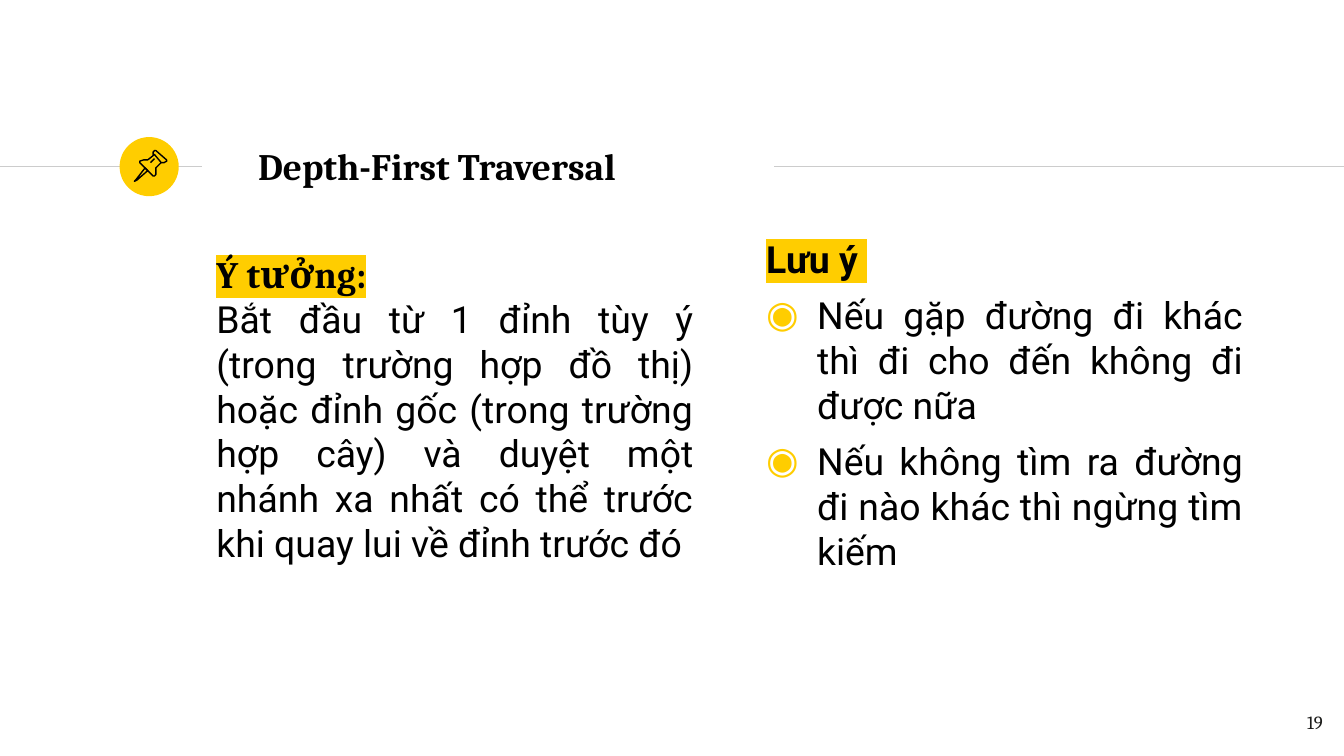
"""Builds the slide on the idea and notes of depth-first traversal."""
from lxml import etree
from pptx import Presentation
from pptx.dml import color as dml
from pptx.enum import shapes, text
from pptx.oxml import ns
from pptx.util import Inches, Pt

YELLOW, BLACK, GREY, INK = "FFCD00", "000000", "CCCCCC", "1D1D1B"
SERIF, SANS = "Cambria", "Roboto"
HUNDREDTH = Inches(0.01)


def rgb(value):
    return dml.RGBColor.from_string(value)


def color_element(tag, value):
    element = etree.Element(ns.qn(tag))
    etree.SubElement(element, ns.qn("a:srgbClr"), val=value)
    return element


class SlideBuilder:
    def __init__(self, slide):
        self.slide = slide
        self.shapes = slide.shapes

    def frame(self, shape, box, anchor=text.MSO_ANCHOR.TOP):
        shape.left, shape.top, shape.width, shape.height = map(Inches, box)
        frame = shape.text_frame
        frame.word_wrap = True
        frame.auto_size = text.MSO_AUTO_SIZE.NONE
        frame.vertical_anchor = anchor
        frame.margin_left = frame.margin_right = Inches(0.1)
        frame.margin_top = frame.margin_bottom = Inches(0.1)
        return frame

    def format(self, paragraph, font=SANS, size=20, color=BLACK, bold=False,
               align=text.PP_ALIGN.LEFT, before=0, highlight=False):
        paragraph.alignment = align
        paragraph.space_before = Pt(before)
        for run in paragraph.runs:
            run.font.name, run.font.size, run.font.bold = font, Pt(size), bold
            run.font.color.rgb = rgb(color)
            if highlight:
                fill = run.font._element.find(ns.qn("a:solidFill"))
                fill.addnext(color_element("a:highlight", YELLOW))

    def bullet(self, paragraph, shown):
        properties = paragraph._p.get_or_add_pPr()
        indent = Inches(0.38) if shown else 0
        properties.set("marL", str(indent))
        properties.set("indent", str(-indent))
        if shown:
            properties.append(color_element("a:buClr", YELLOW))
            etree.SubElement(properties, ns.qn("a:buChar"), char="◉")
        else:
            etree.SubElement(properties, ns.qn("a:buNone"))

    def title(self, wording, box):
        frame = self.frame(self.shapes.title, box, text.MSO_ANCHOR.MIDDLE)
        frame.text = wording
        self.format(frame.paragraphs[0], SERIF, bold=True)

    def column(self, index, box, heading, items, heading_font, bulleted):
        frame = self.frame(self.slide.placeholders[index], box)
        frame.text = "\n".join([heading, *items])
        head, *body = frame.paragraphs
        self.bullet(head, False)
        self.format(head, heading_font, bold=True, highlight=True)
        for paragraph in body:
            self.bullet(paragraph, bulleted)
            self.format(paragraph, align=text.PP_ALIGN.JUSTIFY, before=6 if bulleted else 0)

    def page_number(self, number, box):
        frame = self.frame(self.shapes.add_textbox(0, 0, 0, 0), box)
        frame.text = number
        self.format(frame.paragraphs[0], SERIF, 10, INK, align=text.PP_ALIGN.RIGHT)

    def rule(self, start, end, y):
        line = self.shapes.add_connector(
            shapes.MSO_CONNECTOR.STRAIGHT, Inches(start), Inches(y), Inches(end), Inches(y))
        line.line.color.rgb = rgb(GREY)
        line.line.width = Pt(0.75)
        etree.SubElement(line._element.spPr, ns.qn("a:effectLst"))

    def disc(self, left, top, size):
        disc = self.shapes.add_shape(
            shapes.MSO_SHAPE.OVAL, Inches(left), Inches(top), Inches(size), Inches(size))
        disc.shadow.inherit = False
        disc.fill.solid()
        disc.fill.fore_color.rgb = rgb(YELLOW)
        disc.line.fill.background()

    def outline(self, points, close):
        builder = self.shapes.build_freeform(*points[0], scale=HUNDREDTH)
        builder.add_line_segments(points[1:], close=close)
        outline = builder.convert_to_shape()
        outline.shadow.inherit = False
        outline.fill.background()
        outline.line.color.rgb = rgb(BLACK)
        outline.line.width = Pt(0.75)
        return outline

    def icon(self, parts):
        self.shapes.add_group_shape([self.outline(points, close) for points, close in parts])


def main():
    presentation = Presentation()
    presentation.slide_width = Inches(10)
    presentation.slide_height = presentation.slide_width * 9 // 16
    builder = SlideBuilder(presentation.slides.add_slide(presentation.slide_layouts[3]))

    builder.rule(0, 1.5, 1.24)
    builder.disc(0.89, 1.02, 0.44)
    builder.rule(5.76, 10, 1.24)

    builder.title("Depth-First Traversal", (1.82, 0.99, 4.18, 0.48))
    builder.column(
        1, (1.51, 1.77, 3.75, 3.53), "Ý tưởng:",
        ["Bắt đầu từ 1 đỉnh tùy ý (trong trường hợp đồ thị) hoặc đỉnh gốc (trong trường hợp "
         "cây) và duyệt một nhánh xa nhất có thể trước khi quay lui về đỉnh trước đó"],
        SERIF, bulleted=False)
    builder.column(
        2, (5.6, 1.66, 3.75, 3.53), "Lưu ý ",
        ["Nếu gặp đường đi khác thì đi cho đến không đi được nữa",
         "Nếu không tìm ra đường đi nào khác thì ngừng tìm kiếm"],
        SANS, bulleted=True)

    needle = [(108, 125), (101, 134), (100, 135), (102, 134), (110, 127)]
    cap = [(115, 115), (120, 121), (122, 121), (124, 120), (124, 119),
           (116, 112), (115, 112), (114, 113), (114, 115)]
    grip = [(115, 115), (110, 119), (107, 119), (104, 120), (104, 121), (114, 131),
            (115, 131), (116, 130), (116, 125), (120, 121)]
    shine = [(112, 121), (115, 118)]
    builder.icon([(needle, True), (cap, True), (grip, False), (shine, False)])

    builder.page_number("19", (9.34, 5.19, 0.6, 0.43))
    presentation.save("out.pptx")


if __name__ == "__main__":
    main()
